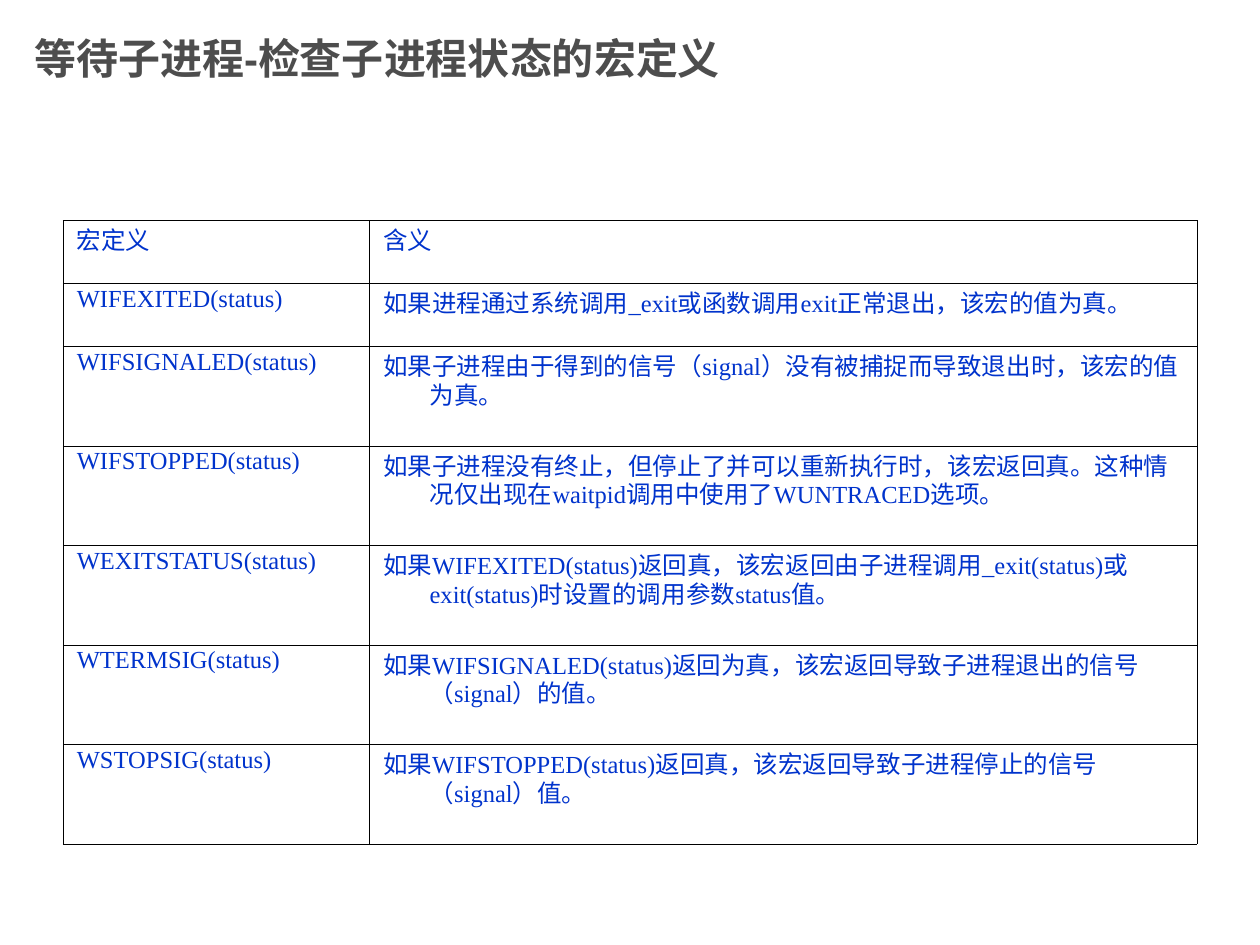
from lxml.etree import SubElement
from pptx import Presentation
from pptx.dml.color import RGBColor
from pptx.enum.text import MSO_ANCHOR, PP_ALIGN
from pptx.oxml.ns import qn
from pptx.util import Inches, Pt

COLORS = {"title": "4D4D4D", "text": "0033CC", "border": "000000"}
SLIDE_SIZE = (Inches(10), Inches(7.5))
COLUMN_WIDTHS = (2.43, 6.57)
SHORT_ROW, TALL_ROW = 0.5, 0.79
SHORT_ROW_COUNT = 2
MACROS = [
    ("宏定义", "含义"),
    ("WIFEXITED(status)", "如果进程通过系统调用_exit或函数调用exit正常退出，该宏的值为真。"),
    ("WIFSIGNALED(status)", "如果子进程由于得到的信号（signal）没有被捕捉而导致退出时，该宏的值为真。"),
    ("WIFSTOPPED(status)", "如果子进程没有终止，但停止了并可以重新执行时，该宏返回真。"
                           "这种情况仅出现在waitpid调用中使用了WUNTRACED选项。"),
    ("WEXITSTATUS(status)", "如果WIFEXITED(status)返回真，该宏返回由子进程调用_exit(status)"
                            "或exit(status)时设置的调用参数status值。"),
    ("WTERMSIG(status)", "如果WIFSIGNALED(status)返回为真，该宏返回导致子进程退出的信号（signal）的值。"),
    ("WSTOPSIG(status)", "如果WIFSTOPPED(status)返回真，该宏返回导致子进程停止的信号（signal）值。"),
]


def add_run(paragraph, text, font_name, size, color, bold=False):
    run = paragraph.add_run()
    run.text = text
    run.font.name = font_name
    run.font.size = Pt(size)
    run.font.bold = bold
    run.font.color.rgb = RGBColor.from_string(COLORS[color])


def set_title(slide, text):
    title = slide.shapes.title
    title.left, title.top = Inches(0.17), 0
    title.width, title.height = Inches(7.5), Inches(0.92)
    title.text_frame.vertical_anchor = MSO_ANCHOR.MIDDLE
    paragraph = title.text_frame.paragraphs[0]
    paragraph.alignment = PP_ALIGN.LEFT
    add_run(paragraph, text, "Arial", 24, "title", bold=True)


def set_borders(cell):
    properties = cell._tc.get_or_add_tcPr()
    for position, side in enumerate(("lnL", "lnR", "lnT", "lnB")):
        line = SubElement(properties, qn(f"a:{side}"), w=str(Pt(0.06)))
        fill = SubElement(line, qn("a:solidFill"))
        SubElement(fill, qn("a:srgbClr"), val=COLORS["border"])
        properties.insert(position, line)


def fill_cell(cell, text):
    cell.fill.background()
    set_borders(cell)
    paragraph = cell.text_frame.paragraphs[0]
    paragraph.line_spacing = 0.8
    indents = paragraph._p.get_or_add_pPr()
    indents.set("marL", str(Inches(0.38)))
    indents.set("indent", str(Inches(-0.37)))
    add_run(paragraph, text, "Times New Roman", 14, "text")


def add_macro_table(slide):
    row_heights = [SHORT_ROW if index < SHORT_ROW_COUNT else TALL_ROW
                   for index in range(len(MACROS))]
    table = slide.shapes.add_table(
        len(MACROS), len(COLUMN_WIDTHS), Inches(0.5), Inches(1.75),
        Inches(sum(COLUMN_WIDTHS)), Inches(sum(row_heights))).table
    table.first_row = False
    table.horz_banding = False
    for column, width in zip(table.columns, COLUMN_WIDTHS):
        column.width = Inches(width)
    for row, height, texts in zip(table.rows, row_heights, MACROS):
        row.height = Inches(height)
        for cell, text in zip(row.cells, texts):
            fill_cell(cell, text)


def main():
    presentation = Presentation()
    presentation.slide_width, presentation.slide_height = SLIDE_SIZE
    slide = presentation.slides.add_slide(presentation.slide_layouts[5])
    set_title(slide, "等待子进程-检查子进程状态的宏定义")
    add_macro_table(slide)
    presentation.save("out.pptx")


if __name__ == "__main__":
    main()
